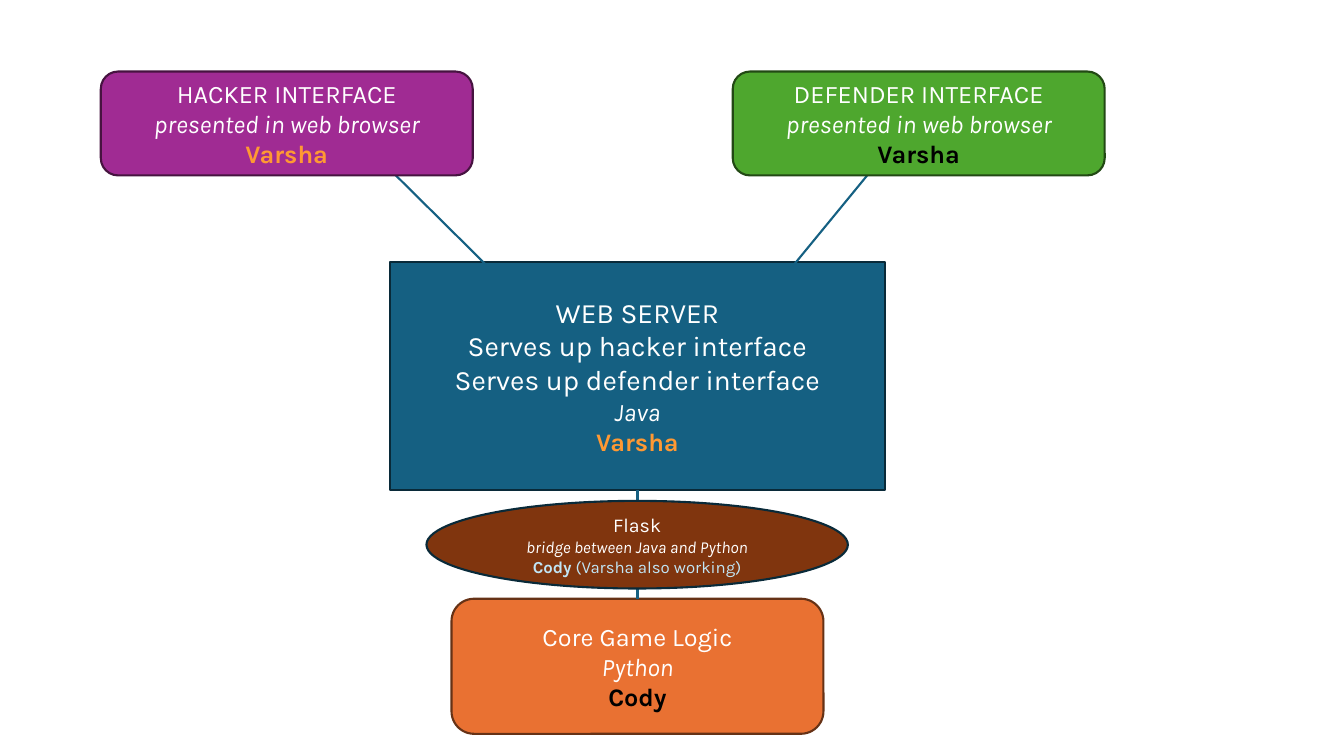
from lxml import etree
from pptx import Presentation
from pptx.dml.color import RGBColor
from pptx.enum.shapes import MSO_CONNECTOR, MSO_SHAPE
from pptx.enum.text import MSO_ANCHOR, PP_ALIGN
from pptx.oxml.ns import qn
from pptx.util import Pt

RECTANGLE = MSO_SHAPE.RECTANGLE
ROUNDED = MSO_SHAPE.ROUNDED_RECTANGLE
OVAL = MSO_SHAPE.OVAL
STRAIGHT = MSO_CONNECTOR.STRAIGHT
CENTER = PP_ALIGN.CENTER
MIDDLE = MSO_ANCHOR.MIDDLE
TOP_SIDE, BOTTOM_SIDE = 0, 2

WHITE = RGBColor(0xFF, 0xFF, 0xFF)
BLACK = RGBColor(0x00, 0x00, 0x00)
AMBER = RGBColor(0xFF, 0x99, 0x33)
PALE_BLUE = RGBColor(0xC1, 0xE5, 0xF5)
BLUE = RGBColor(0x15, 0x60, 0x82)
DARK_BLUE = RGBColor(0x09, 0x2A, 0x39)
ORANGE = RGBColor(0xE9, 0x71, 0x32)
DARK_ORANGE = RGBColor(0x66, 0x32, 0x16)
PURPLE = RGBColor(0xA0, 0x2B, 0x93)
DARK_PURPLE = RGBColor(0x46, 0x13, 0x40)
GREEN = RGBColor(0x4E, 0xA7, 0x2E)
DARK_GREEN = RGBColor(0x22, 0x49, 0x14)
BROWN = RGBColor(0x80, 0x35, 0x0E)

FONT = "Karla"
LINE_WIDTH = Pt(1.5)


def plain(text, size=18):
    return text, {"size": Pt(size)}, WHITE


def note(text, size=18):
    return text, {"size": Pt(size), "italic": True}, WHITE


def person(text, color, size=18):
    return text, {"size": Pt(size), "bold": True}, color


def add_box(slide, kind, bounds, fill, outline, lines):
    """Add a filled shape; each line is a list of (text, format, color) spans."""
    box = slide.shapes.add_shape(kind, *map(Pt, bounds))
    box.shadow.inherit = False
    box.fill.solid()
    box.fill.fore_color.rgb = fill
    box.line.color.rgb = outline
    box.line.width = LINE_WIDTH
    frame = box.text_frame
    frame.word_wrap = True
    frame.vertical_anchor = MIDDLE
    for index, spans in enumerate(lines):
        para = frame.add_paragraph() if index else frame.paragraphs[0]
        para.alignment = CENTER
        for text, values, color in spans:
            span = para.add_run()
            span.text = text
            span.font.name = FONT
            span.font.color.rgb = color
            for name, value in values.items():
                setattr(span.font, name, value)
    return box


def add_link(slide, start=(0, 0), end=(0, 0)):
    link = slide.shapes.add_connector(STRAIGHT, *map(Pt, start + end))
    link.line.color.rgb = BLUE
    link.line.width = LINE_WIDTH
    etree.SubElement(link._element.spPr, qn("a:effectLst"))
    return link


def add_interface(slide, left, role, fill, outline, person_color):
    add_box(slide, ROUNDED, (left, 51.1, 265.7, 74.2), fill, outline, [
        [plain(f"{role} INTERFACE")],
        [note("presented in web browser")],
        [person("Varsha", person_color)],
    ])


def main():
    deck = Presentation()
    deck.slide_width, deck.slide_height = Pt(960), Pt(540)
    page = deck.slides.add_slide(deck.slide_layouts[6])

    # Server and game logic, joined down the middle
    server = add_box(page, RECTANGLE, (278.6, 187.2, 353.5, 162.7), BLUE, DARK_BLUE, [
        [plain("WEB SERVER", 20)],
        [plain("Serves up hacker interface", 20)],
        [plain("Serves up defender interface", 20)],
        [note("Java")],
        [person("Varsha", AMBER)],
    ])
    logic = add_box(page, ROUNDED, (322.5, 427.7, 265.7, 96.5), ORANGE, DARK_ORANGE, [
        [plain("Core Game Logic")],
        [note("Python")],
        [person("Cody", BLACK)],
    ])
    bridge_link = add_link(page)
    bridge_link.begin_connect(logic, TOP_SIDE)
    bridge_link.end_connect(server, BOTTOM_SIDE)

    # Interfaces, with links that run under them
    add_link(page, (386.6, 228.2), (229, 72))
    add_link(page, (545, 216), (673.2, 59.8))
    add_interface(page, 72, "HACKER", PURPLE, DARK_PURPLE, AMBER)
    add_interface(page, 523.4, "DEFENDER", GREEN, DARK_GREEN, BLACK)

    # Bridge between server and game logic
    add_box(page, OVAL, (304.6, 357.8, 301, 62.6), BROWN, DARK_BLUE, [
        [plain("Flask", 14)],
        [note("bridge between Java and Python", 12)],
        [person("Cody", PALE_BLUE, 12),
         (" (Varsha also working)", {"size": Pt(12)}, PALE_BLUE)],
    ])

    deck.save("out.pptx")


if __name__ == "__main__":
    main()
